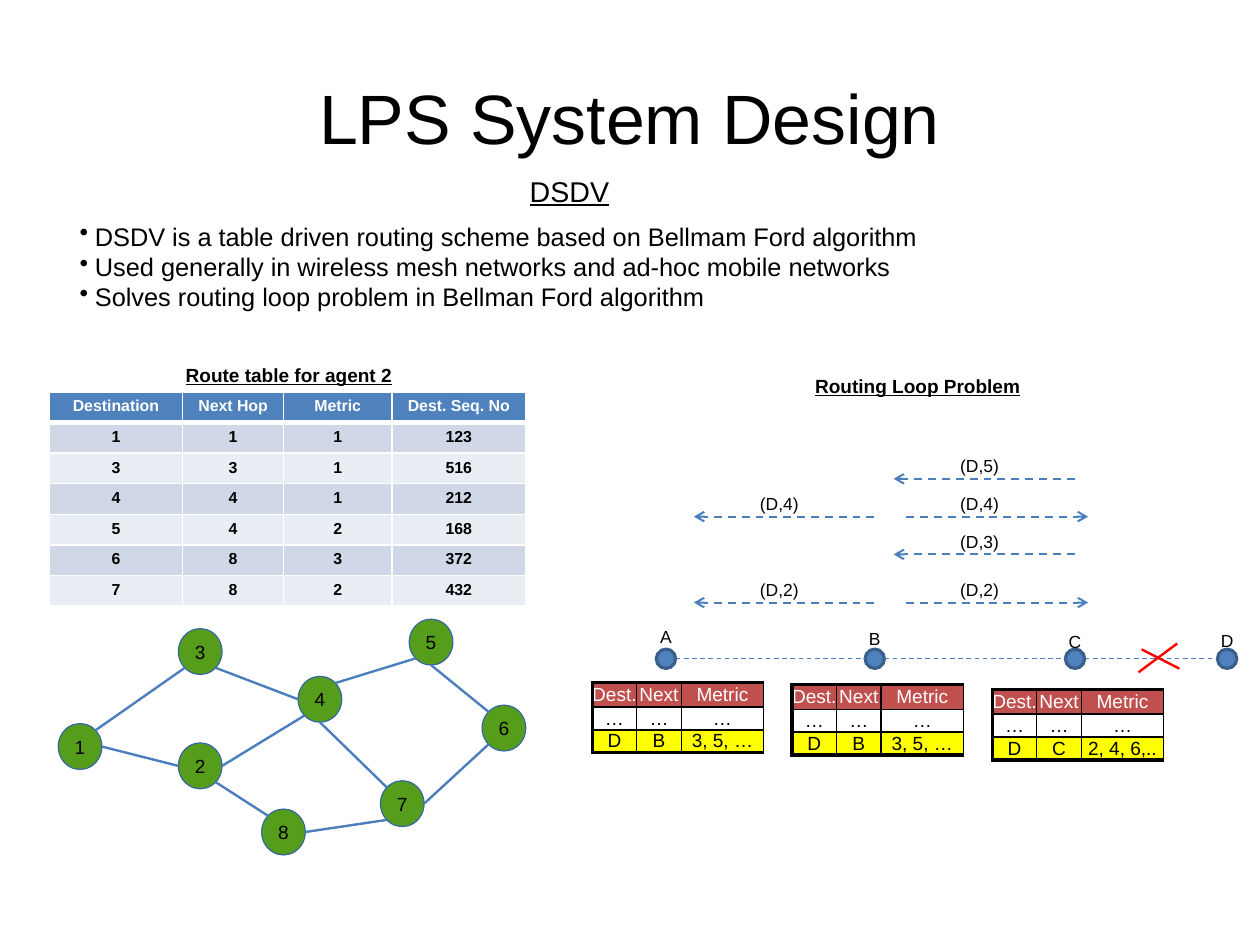
from math import cos, pi, sin

from lxml.etree import SubElement
from pptx import Presentation
from pptx.dml.color import RGBColor
from pptx.enum.dml import MSO_LINE
from pptx.enum.shapes import MSO_CONNECTOR, MSO_SHAPE
from pptx.enum.text import MSO_ANCHOR, PP_ALIGN
from pptx.oxml.ns import qn
from pptx.util import Cm, Pt

COLORS = {
    "black": "000000", "white": "FFFFFF", "red": "FF0000", "yellow": "FFFF00",
    "agent": "579D1C", "agent_line": "3465A4", "link": "4B7EBC",
    "router": "4F81BD", "router_line": "3A5F8C", "route_header": "4F81BD",
    "band_dark": "D0D8E8", "band_light": "E9EDF4", "metric_header": "C0504D",
}
HEADING = {"size": Pt(12), "bold": True, "underline": True}
LABEL = {"size": Pt(11)}
BULLETS = [
    "DSDV is a table driven routing scheme based on Bellmam Ford algorithm",
    "Used generally in wireless mesh networks and ad-hoc mobile networks",
    "Solves routing loop problem in Bellman Ford algorithm",
]
ROUTES = [
    ["Destination", "Next Hop", "Metric", "Dest. Seq. No"],
    ["1", "1", "1", "123"],
    ["3", "3", "1", "516"],
    ["4", "4", "1", "212"],
    ["5", "4", "2", "168"],
    ["6", "8", "3", "372"],
    ["7", "8", "2", "432"],
]
AGENT_WIDTH, AGENT_HEIGHT = 0.97, 1.02
AGENTS = {
    1: (1.78, 16.59), 2: (4.45, 17.02), 3: (4.45, 14.48), 4: (7.11, 15.54),
    5: (9.58, 14.27), 6: (11.2, 16.18), 7: (8.94, 17.86), 8: (6.3, 18.49),
}
TOP_LEFT, LEFT, BOTTOM_LEFT, BOTTOM, BOTTOM_RIGHT, RIGHT, TOP_RIGHT = range(1, 8)
AGENT_LINKS = [
    (1, TOP_RIGHT, 3, BOTTOM_LEFT), (1, RIGHT, 2, LEFT),
    (2, RIGHT, 4, BOTTOM_LEFT), (3, BOTTOM_RIGHT, 4, LEFT),
    (4, TOP_RIGHT, 5, BOTTOM_LEFT), (7, RIGHT, 6, BOTTOM_LEFT),
    (8, RIGHT, 7, BOTTOM_LEFT), (2, BOTTOM_RIGHT, 8, TOP_LEFT),
    (4, BOTTOM, 7, TOP_LEFT), (5, BOTTOM, 6, TOP_LEFT),
]
ROUTER_SIZE, ROUTER_Y = 0.43, 14.64
ROUTERS = {"A": (14.8, 13.79), "B": (19.44, 13.84), "C": (23.89, 13.89), "D": (27.27, 13.87)}
METRIC_TABLES = [
    (13.16, 15.16, "B", "3, 5, …"),
    (17.6, 15.21, "B", "3, 5, …"),
    (22.05, 15.32, "C", "2, 4, 6,.."),
]
HOPS = {"B-A": (19.43, 15.42, 17.32), "C-B": (23.88, 19.86, 21.77), "B-C": (20.14, 24.18, 21.77)}
MESSAGES = [
    ("(D,5)", "C-B", 10.64), ("(D,4)", "B-A", 11.48), ("(D,4)", "B-C", 11.48),
    ("(D,3)", "C-B", 12.32), ("(D,2)", "B-A", 13.39), ("(D,2)", "B-C", 13.39),
]


def color(name):
    """Return the named colour."""
    return RGBColor.from_string(COLORS[name])


def format_paragraph(paragraph, text, formats, ink="black", align=PP_ALIGN.CENTER):
    """Write one formatted run into a paragraph."""
    paragraph.alignment = align
    run = paragraph.add_run()
    run.text = text
    for attribute, value in {"name": "Arial", "bold": False, **formats}.items():
        setattr(run.font, attribute, value)
    run.font.color.rgb = color(ink)


def add_text(slide, box, text, formats):
    """Add a centred one-line text box."""
    frame = slide.shapes.add_textbox(*map(Cm, box)).text_frame
    frame.word_wrap = False
    format_paragraph(frame.paragraphs[0], text, formats)
    return frame


def add_bullets(slide, box, lines):
    """Add a bulleted list."""
    frame = slide.shapes.add_textbox(*map(Cm, box)).text_frame
    frame.word_wrap = True
    for index, line in enumerate(lines):
        paragraph = frame.add_paragraph() if index else frame.paragraphs[0]
        format_paragraph(paragraph, line, {"size": Pt(16)}, align=PP_ALIGN.LEFT)
        properties = paragraph._p.get_or_add_pPr()
        properties.set("marL", str(Cm(0.34)))
        properties.set("indent", str(-Cm(0.34)))
        SubElement(properties, qn("a:buChar")).set("char", "•")


def add_ellipse(slide, center, size, fill, line, line_width):
    """Add an ellipse around a centre point."""
    corner = [middle - length / 2 for middle, length in zip(center, size)]
    shape = slide.shapes.add_shape(MSO_SHAPE.OVAL, *map(Cm, (*corner, *size)))
    shape.shadow.inherit = False
    shape.fill.solid()
    shape.fill.fore_color.rgb = color(fill)
    shape.line.color.rgb = color(line)
    shape.line.width = Pt(line_width)
    return shape


def add_line(slide, start, end, width, ink="link", dashed=False, arrow=False):
    """Add a straight line, optionally dashed or with an arrowhead."""
    connector = slide.shapes.add_connector(MSO_CONNECTOR.STRAIGHT, *map(Cm, (*start, *end)))
    connector.line.color.rgb = color(ink)
    connector.line.width = Pt(width)
    if dashed:
        connector.line.dash_style = MSO_LINE.DASH
    if arrow:
        SubElement(connector.line._get_or_add_ln(), qn("a:tailEnd")).set("type", "arrow")
    SubElement(connector._element.spPr, qn("a:effectLst"))


def set_borders(cell, ink, widths):
    """Draw the left, right, top and bottom borders of a cell."""
    properties = cell._tc.get_or_add_tcPr()
    for side, width in zip("LRTB", widths):
        border = SubElement(properties, qn(f"a:ln{side}"))
        border.set("w", str(Pt(width)))
        fill = SubElement(border, qn("a:solidFill"))
        SubElement(fill, qn("a:srgbClr")).set("val", COLORS[ink])


def add_table(slide, corner, widths, heights, rows, style_cell):
    """Add a table whose cells are finished by a styling function."""
    size = (sum(widths), sum(heights))
    table = slide.shapes.add_table(len(rows), len(widths), *map(Cm, (*corner, *size))).table
    for column, width in zip(table.columns, widths):
        column.width = Cm(width)
    for row, height in zip(table.rows, heights):
        row.height = Cm(height)
    for row_index, row in enumerate(rows):
        for column_index, text in enumerate(row):
            style_cell(table.cell(row_index, column_index), text, row_index, column_index)


def style_route_cell(cell, text, row, column):
    """Style a cell of the banded route table."""
    set_borders(cell, "white", (1, 1, 3 if row == 1 else 1, 1 if row else 3))
    cell.fill.solid()
    cell.fill.fore_color.rgb = color(("band_light", "band_dark")[row % 2] if row else "route_header")
    format_paragraph(cell.text_frame.paragraphs[0], text, {"size": Pt(10), "bold": True},
                     "black" if row else "white")


def style_metric_cell(cell, text, row, column):
    """Style a cell of a small metric table."""
    set_borders(cell, "black", (1 if column else 2.25, 1, 1 if row else 2.25, 2.25 if row == 2 else 1))
    cell.fill.solid()
    cell.fill.fore_color.rgb = color(("metric_header", "white", "yellow")[row])
    cell.vertical_anchor = MSO_ANCHOR.MIDDLE
    for side in ("left", "right", "top", "bottom"):
        setattr(cell, f"margin_{side}", 0)
    format_paragraph(cell.text_frame.paragraphs[0], text, {"size": Pt(12)}, "black" if row else "white")


def rim_point(agent, site):
    """Return the point on an agent's rim, counted anticlockwise from the top in eighths."""
    x, y = AGENTS[agent]
    angle = site * pi / 4
    return x - sin(angle) * AGENT_WIDTH / 2, y - cos(angle) * AGENT_HEIGHT / 2


def add_agent_network(slide):
    """Draw the numbered agents and their links."""
    for number, center in AGENTS.items():
        shape = add_ellipse(slide, center, (AGENT_WIDTH, AGENT_HEIGHT), "agent", "agent_line", 0.75)
        frame = shape.text_frame
        frame.word_wrap = False
        frame.vertical_anchor = MSO_ANCHOR.MIDDLE
        format_paragraph(frame.paragraphs[0], str(number), {"size": Pt(12)})
    for first, first_site, second, second_site in AGENT_LINKS:
        add_line(slide, rim_point(first, first_site), rim_point(second, second_site), 1.5)


def add_routing_loop(slide):
    """Draw the router chain, its broken link and the messages."""
    for name, (x, label_top) in ROUTERS.items():
        add_ellipse(slide, (x, ROUTER_Y), (ROUTER_SIZE, ROUTER_SIZE), "router", "router_line", 2)
        add_text(slide, (x - 0.4, label_top, 0.8, 0.74), name, LABEL)
    centers = [x for x, _ in ROUTERS.values()]
    for left, right in zip(centers, centers[1:]):
        add_line(slide, (left + ROUTER_SIZE / 2, ROUTER_Y), (right - ROUTER_SIZE / 2, ROUTER_Y),
                 0.75, dashed=True)
    add_line(slide, (25.37, 14.43), (26.21, 14.86), 1.5, "red")
    add_line(slide, (26.16, 14.3), (25.3, 14.94), 1.5, "red")
    for text, hop, y in MESSAGES:
        start, end, middle = HOPS[hop]
        add_line(slide, (start, y), (end, y), 1.25, dashed=True, arrow=True)
        add_text(slide, (middle - 0.69, y - 0.65, 1.38, 0.74), text, LABEL)


def main():
    """Build the slide and save it."""
    presentation = Presentation()
    presentation.slide_width, presentation.slide_height = Cm(28), Cm(21)
    slide = presentation.slides.add_slide(presentation.slide_layouts[6])
    title = add_text(slide, (1.4, 0.84, 25.2, 3.5), "LPS System Design", {"size": Pt(44)})
    title.vertical_anchor = MSO_ANCHOR.MIDDLE
    add_text(slide, (11.51, 3.73, 2.29, 1.02), "DSDV", {"size": Pt(18), "underline": True})
    add_bullets(slide, (1.52, 4.78, 19.35, 2.39), BULLETS)
    add_agent_network(slide)
    add_table(slide, (1.09, 8.71), (2.97, 2.24, 2.41, 2.97), [0.68] * 7, ROUTES, style_route_cell)
    add_text(slide, (3.84, 7.95, 5.16, 0.76), "Route table for agent 2", HEADING)
    for left, top, next_hop, metric in METRIC_TABLES:
        rows = [["Dest.", "Next", "Metric"], ["…"] * 3, ["D", next_hop, metric]]
        add_table(slide, (left, top), (0.99, 0.99, 1.83), (0.55, 0.5, 0.5), rows, style_metric_cell)
    add_routing_loop(slide)
    add_text(slide, (17.83, 8.2, 5.13, 0.76), "Routing Loop Problem", HEADING)
    presentation.save("out.pptx")


if __name__ == "__main__":
    main()
